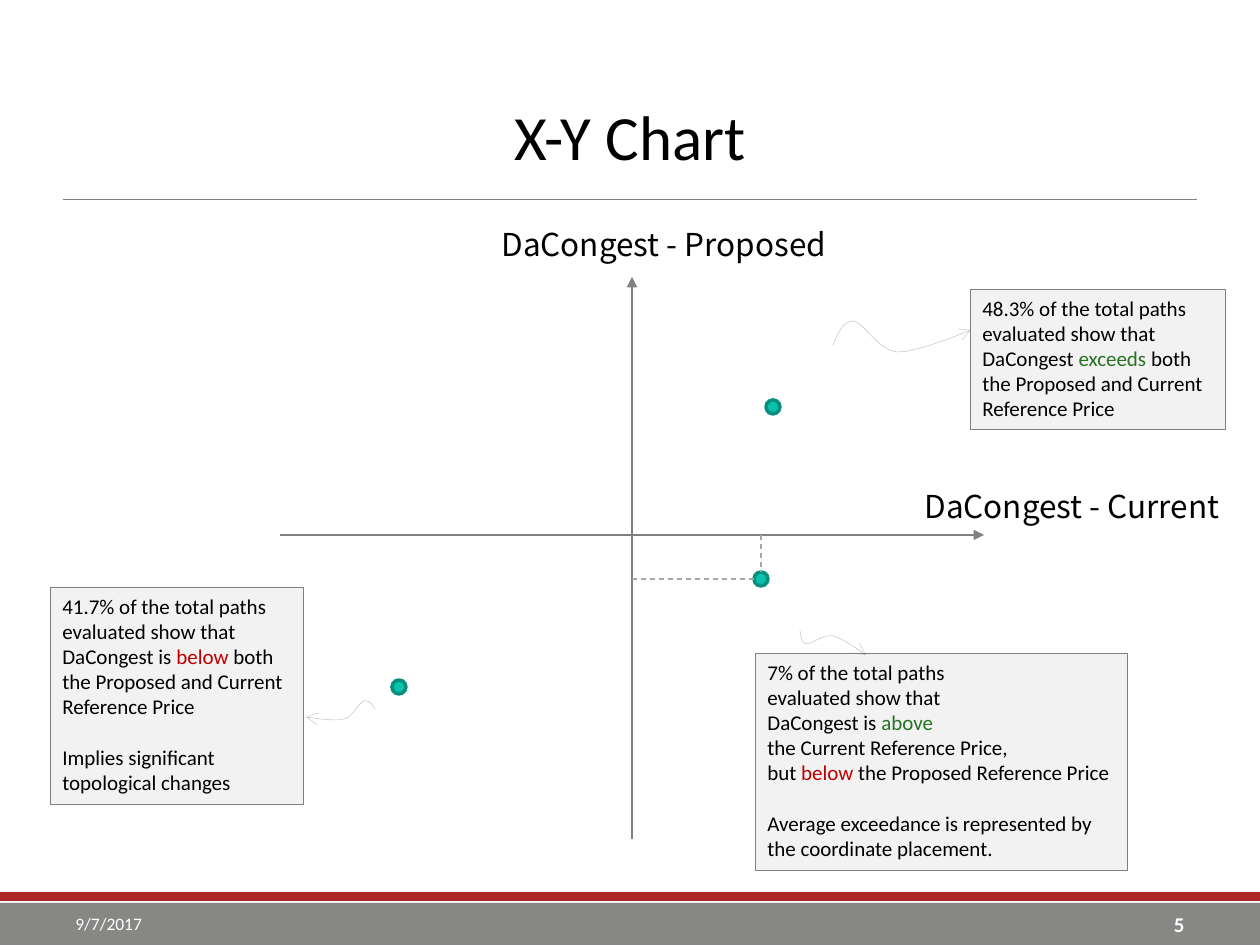
from lxml.etree import SubElement
from pptx import Presentation
from pptx.dml.color import RGBColor
from pptx.enum.dml import MSO_LINE
from pptx.enum.shapes import MSO_CONNECTOR, MSO_SHAPE
from pptx.enum.text import MSO_ANCHOR, PP_ALIGN
from pptx.oxml.ns import qn
from pptx.util import Emu, Pt

PX = 914400 / 126
COLORS = {
    "black": "000000", "white": "FFFFFF", "red_band": "AF2626", "gray_band": "878785",
    "axis": "808080", "guide": "A6A6A6", "curve": "7F7F7F", "panel": "F2F2F2",
    "dot": "0BC1AC", "dot_rim": "088F7F", "above": "257222", "below": "C00000",
}
CURVE_STEPS = 8


def px(length):
    return Emu(round(length * PX))


def rgb(name):
    return RGBColor.from_string(COLORS[name])


def apply(target, values):
    for name, value in values.items():
        setattr(target, name, value)


def set_line(line, color, width, tail=None):
    """Colour and weight a line; tail names the arrowhead at its far end."""
    line.color.rgb = rgb(color)
    line.width = Pt(width)
    if tail:
        SubElement(line._get_or_add_ln(), qn("a:tailEnd"), type=tail)


def add_line(slide, start, end, color, width=0.75, tail=None, dash=None):
    connector = slide.shapes.add_connector(MSO_CONNECTOR.STRAIGHT, *map(px, (*start, *end)))
    set_line(connector.line, color, width)
    if dash:
        connector.line.dash_style = dash
    if tail:
        set_line(connector.line, color, width, tail)
    SubElement(connector._element.spPr, qn("a:effectLst"))


def add_figure(slide, kind, box, fill, rim=None, width=0):
    figure = slide.shapes.add_shape(kind, *map(px, box))
    figure.shadow.inherit = False
    figure.fill.solid()
    figure.fill.fore_color.rgb = rgb(fill)
    if rim:
        set_line(figure.line, rim, width)
    else:
        figure.line.fill.background()
    return figure


def write_runs(paragraph, runs, size, font="Calibri", bold=False):
    """Write (text, colour) runs, turning each newline into a line break."""
    for text, color in runs:
        for row, part in enumerate(text.split("\n")):
            if row:
                paragraph.add_line_break()
            if part:
                run = paragraph.add_run()
                run.text = part
                apply(run.font, {"size": Pt(size), "name": font, "bold": bold})
                run.font.color.rgb = rgb(color)


def add_label(slide, box, text, size, color="black", align=PP_ALIGN.LEFT,
              anchor=MSO_ANCHOR.MIDDLE, wrap=True, **font):
    frame = slide.shapes.add_textbox(*map(px, box)).text_frame
    apply(frame, {"word_wrap": wrap, "vertical_anchor": anchor})
    frame.paragraphs[0].alignment = align
    write_runs(frame.paragraphs[0], [(text, color)], size, **font)


def add_curve(slide, points):
    """Draw a chain of cubic Bezier arcs ending in an open arrowhead."""
    route = []
    for first in range(0, len(points) - 1, 3):
        arc = points[first:first + 4]
        for step in range(1, CURVE_STEPS + 1):
            t = step / CURVE_STEPS
            weights = ((1 - t) ** 3, 3 * t * (1 - t) ** 2, 3 * t ** 2 * (1 - t), t ** 3)
            route.append(tuple(px(sum(w * p[axis] for w, p in zip(weights, arc)))
                               for axis in (0, 1)))
    builder = slide.shapes.build_freeform(*map(px, points[0]))
    builder.add_line_segments(route, close=False)
    curve = builder.convert_to_shape()
    curve.shadow.inherit = False
    curve.fill.background()
    set_line(curve.line, "curve", 0.25, "arrow")
    SubElement(next(curve.line._get_or_add_ln().iter(qn("a:srgbClr"))),
               qn("a:alpha"), val="50000")


def add_header(slide, box):
    left, top, width, height = box
    add_line(slide, (left, top + height), (left + width, top + height), "axis", 0.5)
    add_label(slide, (left, top, width, height - 4), "X-Y Chart", 36, align=PP_ALIGN.CENTER)


def add_footer(slide, box):
    left, top, width, height = box
    add_figure(slide, MSO_SHAPE.RECTANGLE, (left, top, width, 9), "red_band")
    add_figure(slide, MSO_SHAPE.RECTANGLE, (left, top + 11, width, height - 11), "gray_band")
    margin, field = 63, 294
    add_label(slide, (left + width - margin - field, top + 13, field, 38), "5", 12,
              "white", PP_ALIGN.RIGHT, bold=True)
    add_label(slide, (left + margin, top + 13, field, 38), "9/7/2017", 10, "white")


def add_xy_chart(slide, box):
    left, top, width, height = box
    x0, y0 = left + width // 2, top + 258
    add_line(slide, (x0, top + height), (x0, top), "axis", tail="triangle")
    add_line(slide, (left, y0), (left + width, y0), "axis", tail="triangle")
    titles = (("DaCongest - Current", (x0 + 280, y0 - 54, 348, 50)),
              ("DaCongest - Proposed", (x0 - 143, top - 58, 374, 50)))
    for title, place in titles:
        add_label(slide, place, title, 18, anchor=MSO_ANCHOR.TOP, wrap=False,
                  font="Noto Sans CJK KR")

    size = 14
    exceeds, below, mixed = (141, -128), (-233, 152), (129, 44)
    for dx, dy in (exceeds, below, mixed):
        add_figure(slide, MSO_SHAPE.OVAL,
                   (x0 + dx - size // 2, y0 + dy - size // 2, size, size),
                   "dot", "dot_rim", 2)
    dx, dy = mixed
    for start, end in (((x0 + dx, y0), (x0 + dx, y0 + dy - size // 2)),
                       ((x0, y0 + dy), (x0 + dx - size // 2, y0 + dy))):
        add_line(slide, start, end, "guide", dash=MSO_LINE.DASH)


def add_callout(slide, box, paragraphs, curve):
    """Place a note and its curved arrow; curve points count from the note's corner."""
    note = add_figure(slide, MSO_SHAPE.RECTANGLE, box, "panel", "axis", 0.25)
    frame = note.text_frame
    apply(frame, {"word_wrap": True, "vertical_anchor": MSO_ANCHOR.TOP})
    for index, (gap, runs) in enumerate(paragraphs):
        paragraph = frame.add_paragraph() if index else frame.paragraphs[0]
        apply(paragraph, {"alignment": PP_ALIGN.LEFT, "space_before": Pt(gap)})
        write_runs(paragraph, runs, 12)
    add_curve(slide, [(box[0] + x, box[1] + y) for x, y in curve])


LINE_GAP = 14.4
SHOWN = "of the total paths\nevaluated show that"
BOTH = " both\nthe Proposed and Current\nReference Price"
CALLOUTS = [
    ((970, 289, 255, 140),
     [(0, [(f"48.3% {SHOWN}", "black")]),
      (0, [("DaCongest ", "black"), ("exceeds", "above"), (BOTH, "black")])],
     [(-137, 56), (-132, 44), (-127, 32), (-116, 32), (-106, 34),
      (-92, 61), (-73, 63), (-53, 64), (1, 41), (1, 41)]),
    ((50, 587, 253, 217),
     [(0, [(f"41.7% {SHOWN}", "black")]),
      (0, [("DaCongest is ", "black"), ("below", "below"), (BOTH, "black")]),
      (LINE_GAP, [("Implies significant\ntopological changes", "black")])],
     [(325, 122), (322, 117), (319, 113), (314, 114), (308, 116),
      (303, 130), (294, 132), (284, 135), (256, 130), (256, 130)]),
    ((755, 653, 372, 217),
     [(0, [(f"7% {SHOWN}", "black")]),
      (0, [("DaCongest is ", "black"), ("above\n", "above"),
           ("the Current Reference Price,\nbut ", "black"), ("below", "below"),
           (" the Proposed Reference Price", "black")]),
      (LINE_GAP, [("Average exceedance is represented by", "black")]),
      (0, [("the coordinate placement.", "black")])],
     [(45, -23), (46, -17), (46, -10), (51, -9), (58, -9),
      (68, -19), (78, -17), (88, -15), (111, 2), (111, 2)]),
]


def main():
    deck = Presentation()
    apply(deck, {"slide_width": px(1260), "slide_height": px(945)})
    slide = deck.slides.add_slide(deck.slide_layouts[6])
    add_footer(slide, (0, 892, 1260, 53))
    add_header(slide, (63, 76, 1134, 123))
    add_xy_chart(slide, (280, 277, 704, 562))
    for box, paragraphs, curve in CALLOUTS:
        add_callout(slide, box, paragraphs, curve)
    deck.save("out.pptx")


if __name__ == "__main__":
    main()
